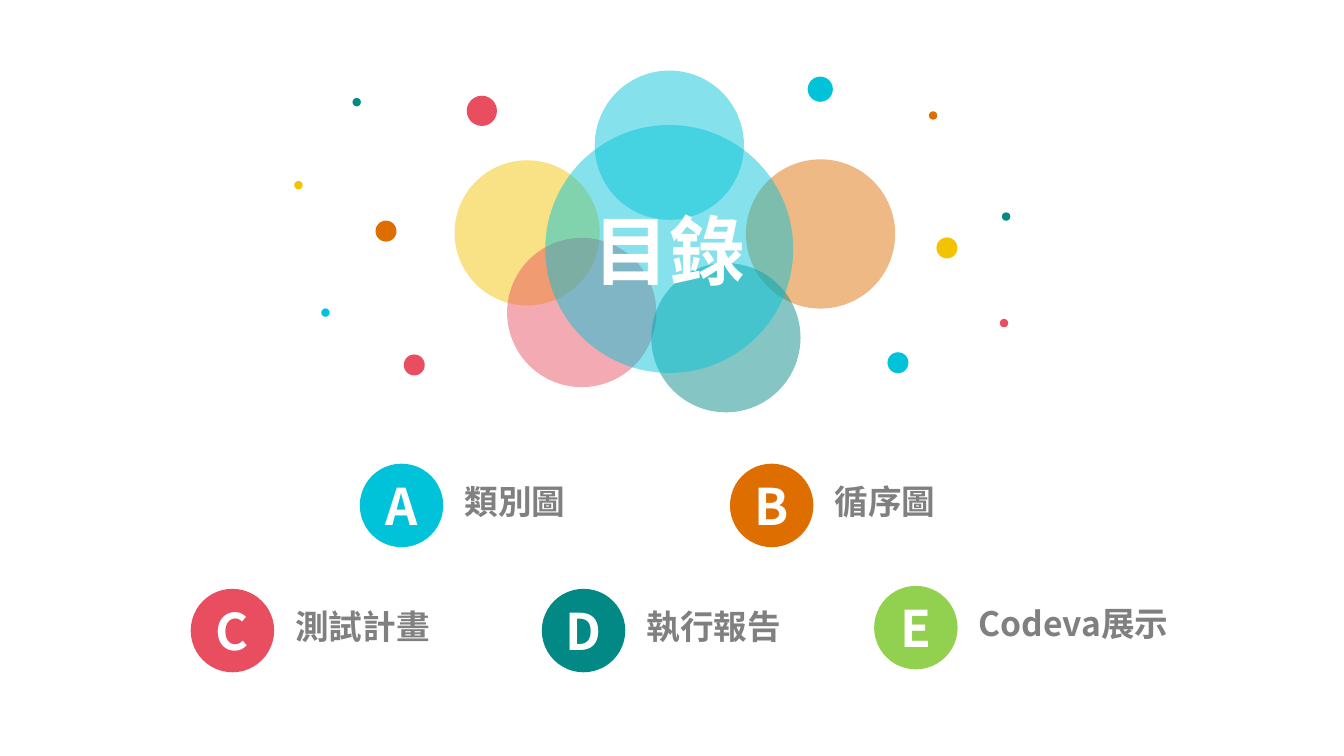
from dataclasses import dataclass
from lxml.etree import SubElement
from pptx import Presentation
from pptx.dml.color import RGBColor
from pptx.enum.shapes import MSO_SHAPE
from pptx.enum.text import MSO_ANCHOR, PP_ALIGN
from pptx.oxml.ns import qn
from pptx.util import Pt


@dataclass(frozen=True)
class Theme:
    font: str = "Noto Sans CJK SC"
    cyan: str = "00C3D9"
    orange: str = "DE6E00"
    red: str = "E94E60"
    teal: str = "028985"
    yellow: str = "F3C301"
    green: str = "92D050"
    gray: str = "808080"
    white: str = "FFFFFF"
    title: int = 54
    letter: int = 36
    label: int = 24
    alpha: int = 48


class Deck:
    """Holds the theme and the current slide, and adds each kind of element."""

    def __init__(self, theme):
        self.theme = theme
        self.prs = Presentation()
        self.prs.slide_width, self.prs.slide_height = Pt(960), Pt(540)
        self.slide = self.prs.slides.add_slide(self.prs.slide_layouts[5])

    def style(self, frame, text, size, color, align=PP_ALIGN.CENTER):
        frame.text = text
        frame.word_wrap = True
        frame.vertical_anchor = MSO_ANCHOR.MIDDLE
        frame.margin_left = frame.margin_right = 0
        frame.margin_top = frame.margin_bottom = 0
        line = frame.paragraphs[0]
        line.alignment = align
        for run in line.runs:
            font = run.font
            font.name, font.size, font.bold = self.theme.font, Pt(size), True
            font.color.rgb = RGBColor.from_string(color)
            east = SubElement(run._r.get_or_add_rPr(), qn("a:ea"))
            east.set("typeface", self.theme.font)

    def disc(self, left, top, size, color, alpha=None):
        disc = self.slide.shapes.add_shape(
            MSO_SHAPE.OVAL, Pt(left), Pt(top), Pt(size), Pt(size))
        disc.shadow.inherit = False
        disc.line.fill.background()
        disc.fill.solid()
        disc.fill.fore_color.rgb = RGBColor.from_string(color)
        if alpha:
            tint = disc._element.spPr.find(qn("a:solidFill"))[0]
            SubElement(tint, qn("a:alpha")).set("val", str(alpha * 1000))
        return disc

    def title(self, text, left, top, size):
        title = self.slide.shapes.title
        title.left, title.top = Pt(left), Pt(top)
        title.width = title.height = Pt(size)
        self.style(title.text_frame, text, self.theme.title, self.theme.white)
        tree = self.slide.shapes._spTree
        tree.remove(title._element)
        tree.append(title._element)

    def entry(self, letter, text, x, y, color):
        size = 59.6
        badge = self.disc(x - size / 2, y - size / 2, size, color)
        self.style(badge.text_frame, letter, self.theme.letter, self.theme.white)
        label = self.slide.shapes.add_textbox(Pt(x + 45), Pt(y - 21), Pt(200), Pt(36))
        self.style(label.text_frame, text, self.theme.label, self.theme.gray,
                   PP_ALIGN.LEFT)


def main():
    theme = Theme()
    deck = Deck(theme)
    petals = [
        (324.7, 114.5, 103.7, theme.yellow),
        (362.2, 169.9, 106.6, theme.red),
        (424.8, 50.4, 106.6, theme.cyan),
        (532.8, 113.8, 106.6, theme.orange),
    ]
    dots = [
        (576.9, 54.7, 18, theme.cyan),
        (333.4, 68.4, 21.6, theme.red),
        (268.2, 157.6, 15, theme.orange),
        (251.8, 70, 6, theme.teal),
        (210.2, 129.3, 6, theme.yellow),
        (288.4, 253.2, 15, theme.red),
        (229.5, 220.3, 6, theme.cyan),
        (668.9, 169.6, 15, theme.yellow),
        (663.5, 79.5, 6, theme.orange),
        (715.7, 151.7, 6, theme.teal),
        (633.9, 251.6, 15, theme.cyan),
        (714.2, 227.8, 6, theme.red),
    ]
    for petal in petals:
        deck.disc(*petal, theme.alpha)
    for dot in dots:
        deck.disc(*dot)
    deck.disc(465.2, 187.9, 106.6, theme.teal, theme.alpha)
    heart = (389.5, 89.3, 177.1)
    deck.disc(*heart, theme.cyan, theme.alpha)
    deck.title("目錄", *heart)

    entries = [
        ("A", "類別圖", 286.8, 361, theme.cyan),
        ("B", "循序圖", 551.2, 361, theme.orange),
        ("C", "測試計畫", 166, 450.4, theme.red),
        ("D", "執行報告", 416.8, 450.4, theme.teal),
        ("E", "Codeva展示", 654.2, 448.3, theme.green),
    ]
    for entry in entries:
        deck.entry(*entry)
    deck.prs.save("out.pptx")


if __name__ == "__main__":
    main()
